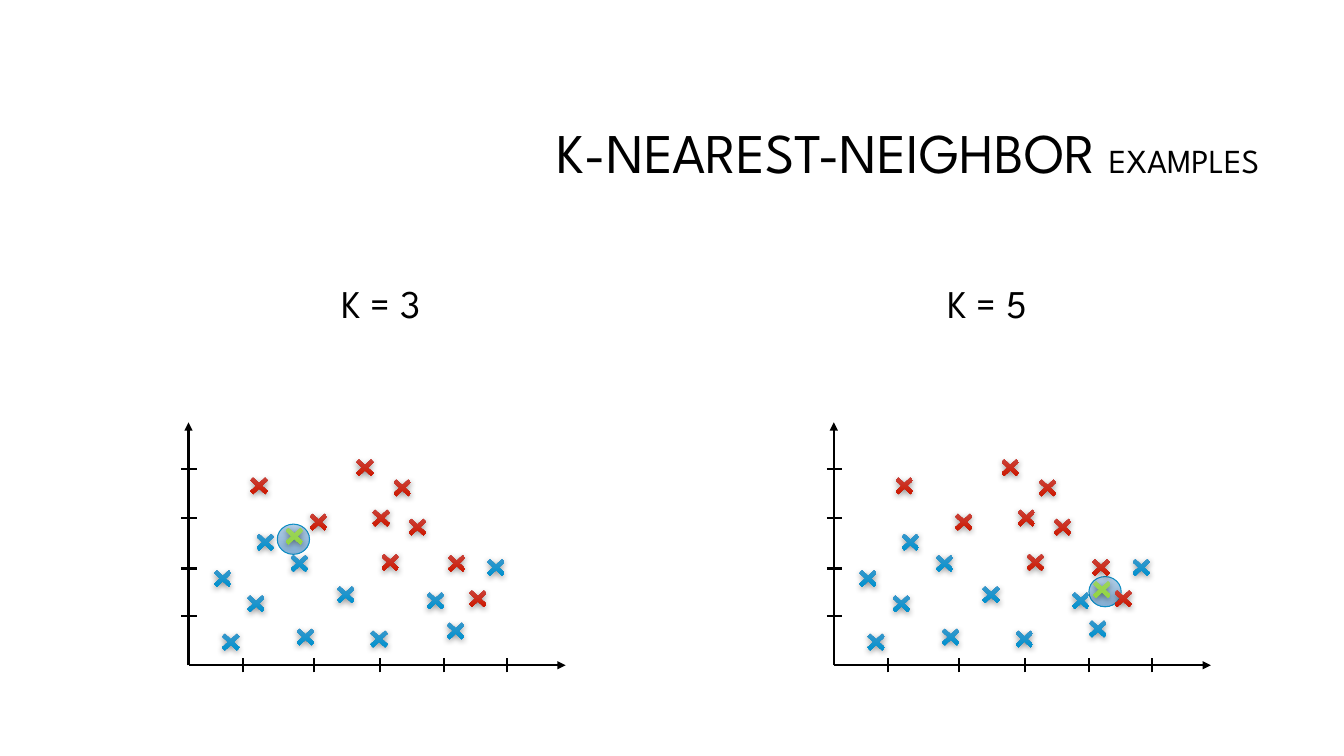
from lxml.etree import SubElement
from pptx import Presentation
from pptx.dml.color import RGBColor
from pptx.enum.shapes import MSO_CONNECTOR, MSO_SHAPE
from pptx.enum.text import MSO_ANCHOR, PP_ALIGN
from pptx.oxml.ns import qn
from pptx.util import Inches, Pt

COLORS = {
    "black": "000000",
    "outline": "0D8EC5",
    "halo": ("B2CDE5", "84AFD4"),
    "blue": ("4899CA", "0492CE"),
    "red": ("C94D48", "CD1B04"),
    "green": ("9ED365", "93D543"),
}
FONT = "League Spartan"

# Marker positions of the left plot; the right plot is shifted by PLOT_SHIFT
PLOT_SHIFT = 6.4
X_TICKS = (2.41, 3.11, 3.77, 4.4, 5.03)
Y_TICKS = (4.65, 5.14, 5.64, 6.11)
BLUE_POINTS = [
    (2.49, 5.25), (2.83, 5.46), (3.29, 5.77), (2.4, 5.86), (2.15, 6.24),
    (2.07, 5.61), (3.62, 6.21), (4.18, 5.83), (4.78, 5.5), (2.89, 6.19),
]
RED_POINTS = [
    (3.02, 5.05), (2.43, 4.69), (3.73, 5.45), (3.64, 5.01), (3.48, 4.51),
    (4, 5.1), (3.85, 4.71), (4.6, 5.81),
]
# Per plot: label, label box, shift, own blue and red points, query and halo
PLOTS = [
    ("K = 3", (1, 5.56), 0, (4.38, 6.13), (4.39, 5.46), (2.78, 5.19), (2.75, 5.2)),
    ("K = 5", (7, 5.58), PLOT_SHIFT, (4.35, 6.11), (4.38, 5.5), (4.39, 5.72), (4.4, 5.72)),
]


class SlideBuilder:
    def __init__(self, slide):
        self.slide = slide

    def format_text(self, frame, anchor, alignment, size):
        frame.word_wrap = True
        frame.vertical_anchor = anchor
        paragraph = frame.paragraphs[0]
        paragraph.alignment = alignment
        paragraph.line_spacing = 0.9
        paragraph.font.name = FONT
        paragraph.font.size = Pt(size)
        paragraph.font.color.rgb = RGBColor.from_string(COLORS["black"])
        return paragraph

    def title(self, text, suffix):
        title = self.slide.shapes.title
        title.left, title.top = Inches(3.17), Inches(0.83)
        title.width, title.height = Inches(9.42), Inches(1.42)
        paragraph = self.format_text(title.text_frame, MSO_ANCHOR.MIDDLE, PP_ALIGN.RIGHT, 40)
        paragraph.add_run().text = text
        run = paragraph.add_run()
        run.text = suffix
        run.font.size = Pt(24)

    def label(self, text, left, width):
        box = self.slide.shapes.add_textbox(Inches(left), Inches(2.39), Inches(width), Inches(0.9))
        paragraph = self.format_text(box.text_frame, MSO_ANCHOR.BOTTOM, PP_ALIGN.CENTER, 28)
        paragraph.add_run().text = text

    def line(self, group, start, end, arrow=False):
        points = [Inches(value) for value in (*start, *end)]
        connector = group.shapes.add_connector(MSO_CONNECTOR.STRAIGHT, *points)
        connector.line.color.rgb = RGBColor.from_string(COLORS["black"])
        connector.line.width = Pt(1.5)
        if arrow:
            SubElement(connector.line._get_or_add_ln(), qn("a:tailEnd"), type="triangle")
        SubElement(connector._element.spPr, qn("a:effectLst"))

    def gradient_shape(self, kind, left, top, width, height, color, end):
        shape = self.slide.shapes.add_shape(
            kind, Inches(left), Inches(top), Inches(width), Inches(height))
        shape.fill.gradient()
        shape.fill.gradient_angle = 270
        for stop, position, value in zip(shape.fill.gradient_stops, (0, end), COLORS[color]):
            stop.position = position
            stop.color.rgb = RGBColor.from_string(value)
        shape.shadow.inherit = False
        return shape

    def halo(self, left, top):
        shape = self.gradient_shape(MSO_SHAPE.OVAL, left, top, 0.32, 0.3, "halo", 1)
        shape.line.color.rgb = RGBColor.from_string(COLORS["outline"])
        shape.line.width = Pt(0.75)

    def marker(self, left, top, color):
        shape = self.gradient_shape(MSO_SHAPE.MATH_MULTIPLY, left, top, 0.28, 0.26, color, 0.78)
        shape.adjustments[0] = 0.147
        shape.line.fill.background()
        effects = shape._element.spPr.find(qn("a:effectLst"))
        shadow = SubElement(
            effects, qn("a:outerShdw"), blurRad=str(Pt(4.5)), dist=str(Pt(1.5)),
            dir="5400000", algn="ctr", rotWithShape="0")
        shadow_color = SubElement(shadow, qn("a:srgbClr"), val=COLORS["black"])
        SubElement(shadow_color, qn("a:alpha"), val="48000")

    def axes(self, shift):
        group = self.slide.shapes.add_group_shape()
        origin = (1.87 + shift, 6.6)
        self.line(group, origin, (5.61 + shift, 6.6), arrow=True)
        self.line(group, origin, (1.87 + shift, 4.19), arrow=True)
        for x in X_TICKS:
            self.line(group, (x + shift, 6.67), (x + shift, 6.53))
        for y in Y_TICKS:
            self.line(group, (1.8 + shift, y), (1.95 + shift, y))

    def plot(self, shift, blue_point, red_point, query, halo):
        self.halo(halo[0] + shift, halo[1])
        self.axes(shift)
        series = [
            ("blue", BLUE_POINTS + [blue_point]),
            ("red", RED_POINTS + [red_point]),
            ("green", [query]),
        ]
        for color, points in series:
            for left, top in points:
                self.marker(left + shift, top, color)


def main():
    presentation = Presentation()
    presentation.slide_width, presentation.slide_height = Inches(13.33), Inches(7.5)
    builder = SlideBuilder(presentation.slides.add_slide(presentation.slide_layouts[5]))

    # Heading
    builder.title("K-NEAREST-NEIGHBOR ", "EXAMPLES")

    # Labelled scatter plots
    for text, label_box, *plot in PLOTS:
        builder.label(text, *label_box)
        builder.plot(*plot)

    presentation.save("out.pptx")


if __name__ == "__main__":
    main()
